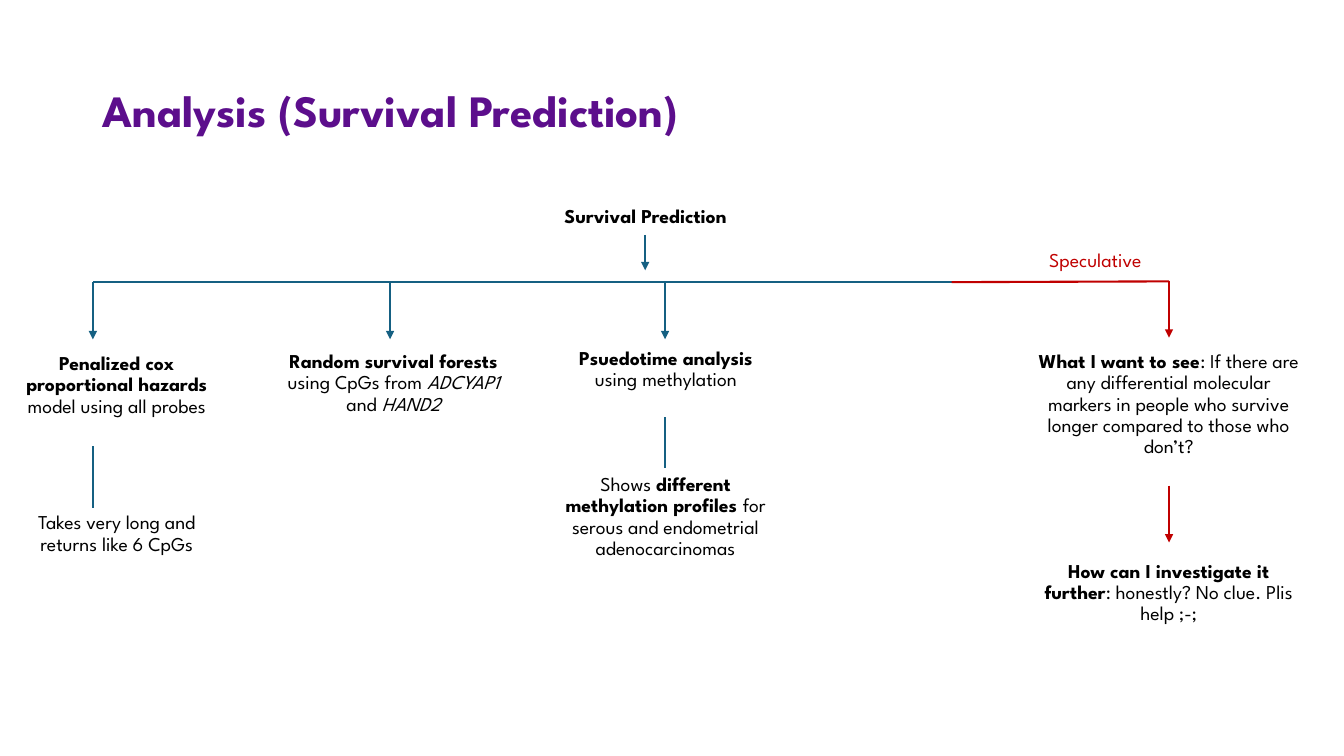
"""Build the survival prediction analysis slide as a branching diagram."""
from dataclasses import dataclass

from lxml.etree import SubElement
from pptx import Presentation
from pptx.dml.color import RGBColor
from pptx.enum.shapes import MSO_CONNECTOR
from pptx.enum.text import MSO_ANCHOR, PP_ALIGN
from pptx.oxml.ns import qn
from pptx.slide import Slide
from pptx.util import Cm, Pt

PURPLE = RGBColor(0x5C, 0x0E, 0x8C)
BLUE = RGBColor(0x15, 0x60, 0x82)
RED = RGBColor(0xC0, 0x00, 0x00)
BLACK = RGBColor(0x00, 0x00, 0x00)
FONT = "League Spartan"
TRUNK_TOP = 7.11
SPECULATIVE_TOP = 7.09
COX, FOREST, PSEUDOTIME, SPECULATIVE = 2.34, 9.83, 16.76, 29.46


@dataclass(frozen=True)
class Span:
    text: str
    bold: bool = False
    italic: bool = False


@dataclass(frozen=True)
class Label:
    left: float
    top: float
    width: float
    height: float
    spans: tuple[Span, ...]
    color: RGBColor = BLACK
    size: int = 14
    align: PP_ALIGN = PP_ALIGN.CENTER
    anchor: MSO_ANCHOR = MSO_ANCHOR.TOP


@dataclass(frozen=True)
class Line:
    start: tuple[float, float]
    end: tuple[float, float]
    color: RGBColor = BLUE
    arrow: bool = False


LABELS = (
    Label(2.34, 1.02, 29.21, 3.68, (Span("Analysis (Survival Prediction)", bold=True),),
          PURPLE, 32, PP_ALIGN.LEFT, MSO_ANCHOR.MIDDLE),
    Label(12.88, 5.08, 6.78, 1.73, (Span("Survival Prediction", bold=True),)),
    Label(25.04, 6.2, 5.13, 0.86, (Span("Speculative"),), RED),
    Label(0.28, 8.79, 5.33, 1.73, (
        Span("Penalized cox proportional hazards ", bold=True),
        Span("model using all probes"))),
    Label(6.86, 8.74, 6.12, 1.73, (
        Span("Random survival forests", bold=True), Span(" using CpGs from "),
        Span("ADCYAP1 ", italic=True), Span("and "), Span("HAND2", italic=True))),
    Label(14.22, 8.66, 5.13, 1.73, (
        Span("Psuedotime analysis ", bold=True), Span("using methylation"))),
    Label(25.91, 8.74, 7.09, 1.73, (
        Span("What I want to see", bold=True),
        Span(": If there are any differential molecular markers in people "
             "who survive longer compared to those who don’t?"))),
    Label(0.28, 12.8, 5.33, 0.99, (Span("Takes very long and returns like 6 CpGs"),)),
    Label(13.56, 11.84, 6.43, 0.86, (
        Span("Shows "), Span("different methylation profiles ", bold=True),
        Span("for serous and endometrial adenocarcinomas"))),
    Label(25.91, 14.02, 7.09, 1.73, (
        Span("How can I investigate it further", bold=True),
        Span(": honestly? No clue. Plis help ;-;"))),
)

LINES = (
    Line((16.26, 5.92), (16.26, 6.81), arrow=True),
    Line((24.03, TRUNK_TOP), (COX, TRUNK_TOP)),
    *(Line((x, TRUNK_TOP), (x, 8.55), arrow=True) for x in (COX, FOREST, PSEUDOTIME)),
    Line((COX, 12.8), (COX, 11.25)),
    Line((PSEUDOTIME, 11.79), (PSEUDOTIME, 10.52)),
    Line((SPECULATIVE, SPECULATIVE_TOP), (23.98, TRUNK_TOP), RED),
    Line((SPECULATIVE, SPECULATIVE_TOP), (SPECULATIVE, 8.51), RED, arrow=True),
    Line((SPECULATIVE, 12.24), (SPECULATIVE, 13.67), RED, arrow=True),
)


def add_label(page: Slide, label: Label) -> None:
    box = page.shapes.add_textbox(
        Cm(label.left), Cm(label.top), Cm(label.width), Cm(label.height))
    frame = box.text_frame
    frame.word_wrap = True
    frame.vertical_anchor = label.anchor
    para = frame.paragraphs[0]
    para.alignment = label.align
    para.line_spacing = 0.9
    for span in label.spans:
        run = para.add_run()
        run.text = span.text
        run.font.name = FONT
        run.font.size = Pt(label.size)
        run.font.bold = span.bold
        run.font.italic = span.italic
        run.font.color.rgb = label.color


def add_line(page: Slide, line: Line) -> None:
    connector = page.shapes.add_connector(
        MSO_CONNECTOR.STRAIGHT, *(Cm(value) for value in line.start + line.end))
    connector.line.color.rgb = line.color
    connector.line.width = Pt(1.5)
    if line.arrow:
        SubElement(connector.line._get_or_add_ln(), qn("a:tailEnd"), type="triangle")
    SubElement(connector._element.spPr, qn("a:effectLst"))


def main() -> None:
    deck = Presentation()
    deck.slide_width, deck.slide_height = Cm(33.87), Cm(19.05)
    page = deck.slides.add_slide(deck.slide_layouts[6])
    for line in LINES:
        add_line(page, line)
    for label in LABELS:
        add_label(page, label)
    deck.save("out.pptx")


if __name__ == "__main__":
    main()
